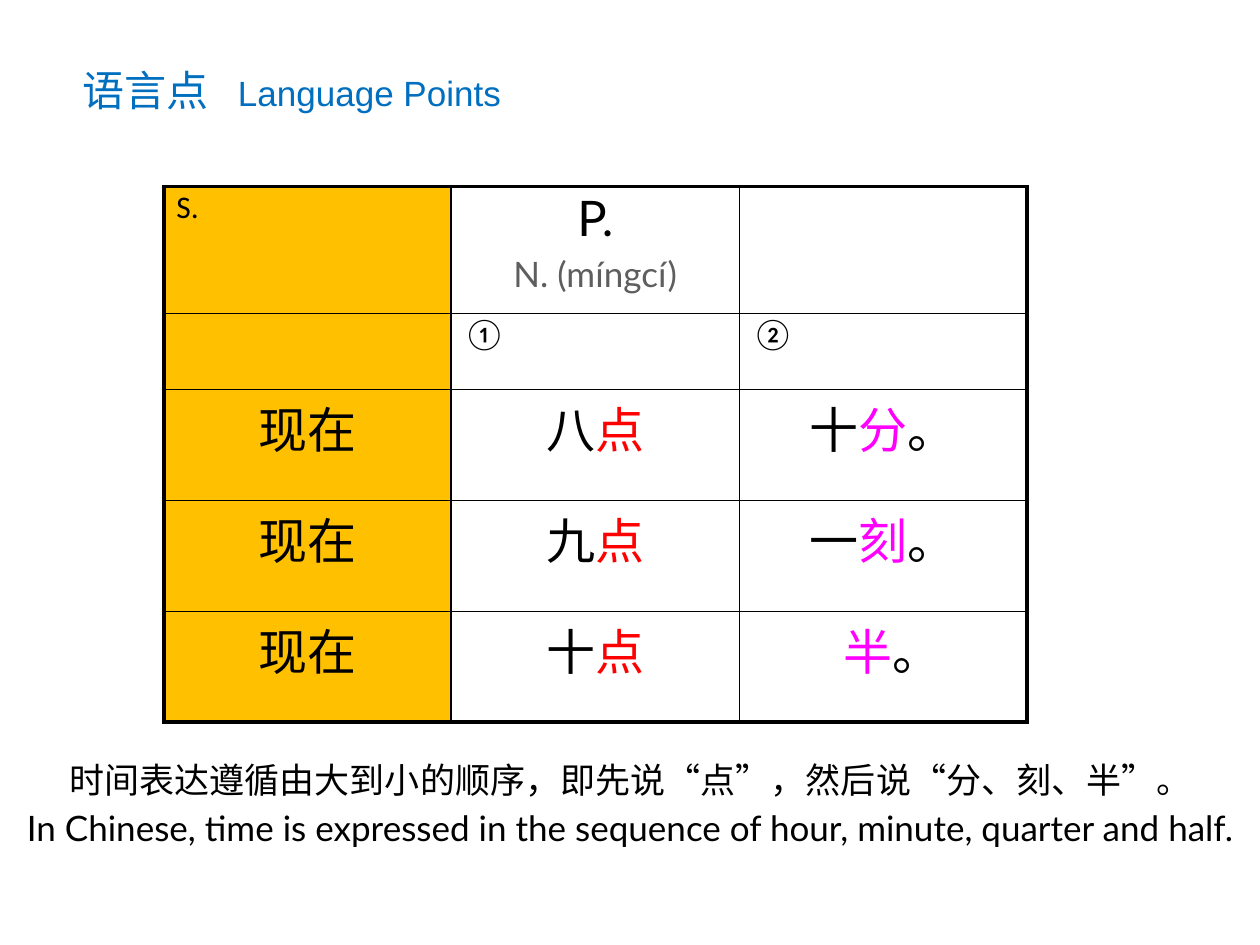
from lxml.etree import SubElement
from pptx import Presentation
from pptx.dml.color import RGBColor
from pptx.enum.text import PP_ALIGN
from pptx.oxml.ns import qn
from pptx.util import Inches, Pt

BLACK = RGBColor(0, 0, 0)
GRAY = RGBColor(0x5E, 0x5E, 0x5E)
RED = RGBColor(0xFF, 0, 0)
PINK = RGBColor(0xFF, 0, 0xFF)
BLUE = RGBColor(0, 0x6F, 0xC0)
GOLD = RGBColor(0xFF, 0xC0, 0)
HAN = "Noto Sans CJK SC"
THICK, MID, THIN = 2.21, 0.96, 0.06
COLS = [2.28, 2.29, 2.28]
ROWS = [1.01, 0.6, 0.88, 0.88, 0.88]
SIDES = [THICK, MID, THIN, THICK]
LEVELS = [THICK, MID, THIN, THIN, THIN, THICK]
TIMES = [
    [("八", BLACK), ("点", RED)],
    [("十", BLACK), ("分", PINK), ("。", BLACK)],
    [("九", BLACK), ("点", RED)],
    [("一", BLACK), ("刻", PINK), ("。", BLACK)],
    [("十", BLACK), ("点", RED)],
    [("半", PINK), ("。", BLACK)],
]


def style(para, size, name, color=BLACK, align=PP_ALIGN.CENTER, line=0.93):
    """Set the spacing, alignment and font of a paragraph."""
    para.alignment = align
    para.line_spacing = line
    font = para.font
    font.size = Pt(size)
    font.color.rgb = color
    font.name = name
    base = para._p.pPr.find(qn("a:defRPr"))
    SubElement(base, qn("a:ea"), typeface=HAN)


def add_run(para, text):
    """Add a run and return its font."""
    run = para.add_run()
    run.text = text
    return run.font


def add_box(slide, left, top, width, height):
    """Add a wrapping text box and return its frame."""
    box = slide.shapes.add_textbox(*map(Inches, (left, top, width, height)))
    frame = box.text_frame
    frame.word_wrap = True
    frame.margin_top = Inches(0.07)
    return frame


def add_title(slide):
    """Add the heading in two languages."""
    para = add_box(slide, 0.56, 0.48, 6.59, 0.59).paragraphs[0]
    tabs = SubElement(para._p.get_or_add_pPr(), qn("a:tabLst"))
    SubElement(tabs, qn("a:tab"), pos=str(Inches(1.23)), algn="l")
    style(para, 24, "Arial", BLUE, PP_ALIGN.LEFT)
    add_run(para, "语言点\t")
    add_run(para, "Language Points").size = Pt(20)


def add_border(cell, row, col):
    """Draw the four edges of a cell."""
    edges = {"L": SIDES[col], "R": SIDES[col + 1],
             "T": LEVELS[row], "B": LEVELS[row + 1]}
    for side, width in edges.items():
        line = SubElement(cell._tc.get_or_add_tcPr(), qn("a:ln" + side),
                          w=str(Pt(width)))
        fill = SubElement(line, qn("a:solidFill"))
        SubElement(fill, qn("a:srgbClr"), val=str(BLACK))


def add_grid(slide):
    """Add the table with its borders and fills."""
    frame = slide.shapes.add_table(
        len(ROWS), len(COLS), Inches(1.3), Inches(1.48),
        Inches(sum(COLS)), Inches(sum(ROWS)))
    table = frame.table
    table.first_row = table.horz_banding = False
    for col, width in enumerate(COLS):
        table.columns[col].width = Inches(width)
    for row, height in enumerate(ROWS):
        table.rows[row].height = Inches(height)
        for col in range(len(COLS)):
            cell = table.cell(row, col)
            add_border(cell, row, col)
            if col == 0:
                cell.fill.solid()
                cell.fill.fore_color.rgb = GOLD
            else:
                cell.fill.background()
    return table


def fill_head(table):
    """Write the two heading rows."""
    for row, col, text in [(0, 0, "S."), (1, 1, "①"), (1, 2, "②")]:
        para = table.cell(row, col).text_frame.paragraphs[0]
        style(para, 18, "Calibri", align=PP_ALIGN.LEFT, line=0.83)
        add_run(para, text)
    frame = table.cell(0, 1).text_frame
    para = frame.paragraphs[0]
    style(para, 28, "Lato")
    add_run(para, "P.")
    para = frame.add_paragraph()
    para.space_before = Pt(4.9)
    style(para, 20, "Lato", GRAY)
    add_run(para, "N. (míngcí)")


def fill_times(table):
    """Write the example rows."""
    for row in range(3):
        parts = [[("现在", BLACK)]] + TIMES[2 * row:2 * row + 2]
        for col, runs in enumerate(parts):
            para = table.cell(row + 2, col).text_frame.paragraphs[0]
            style(para, 28, HAN)
            for text, color in runs:
                add_run(para, text).color.rgb = color
    para._p.pPr.set("marL", str(Inches(0.15)))


def add_note(slide):
    """Add the rule below the table."""
    frame = add_box(slide, -1.11, 5.98, 12.23, 0.89)
    para = frame.paragraphs[0]
    style(para, 20, HAN)
    parts = ["时间表达遵循由大到小的顺序，即先说", "“", "点", "”",
             "，然后说", "“", "分、刻、半", "”", "。"]
    for text in parts:
        font = add_run(para, text)
        if text in "“”":
            font.name = "Lato"
    para = frame.add_paragraph()
    para.space_before = Pt(4.9)
    style(para, 20, "Lato")
    add_run(para, "In Chinese, time is expressed in the sequence of "
                  "hour, minute, quarter and half.")


def main():
    """Build and save the slide."""
    deck = Presentation()
    deck.slide_width, deck.slide_height = Inches(10), Inches(7.5)
    slide = deck.slides.add_slide(deck.slide_layouts[6])
    table = add_grid(slide)
    fill_head(table)
    fill_times(table)
    add_title(slide)
    add_note(slide)
    deck.save("out.pptx")


if __name__ == "__main__":
    main()
